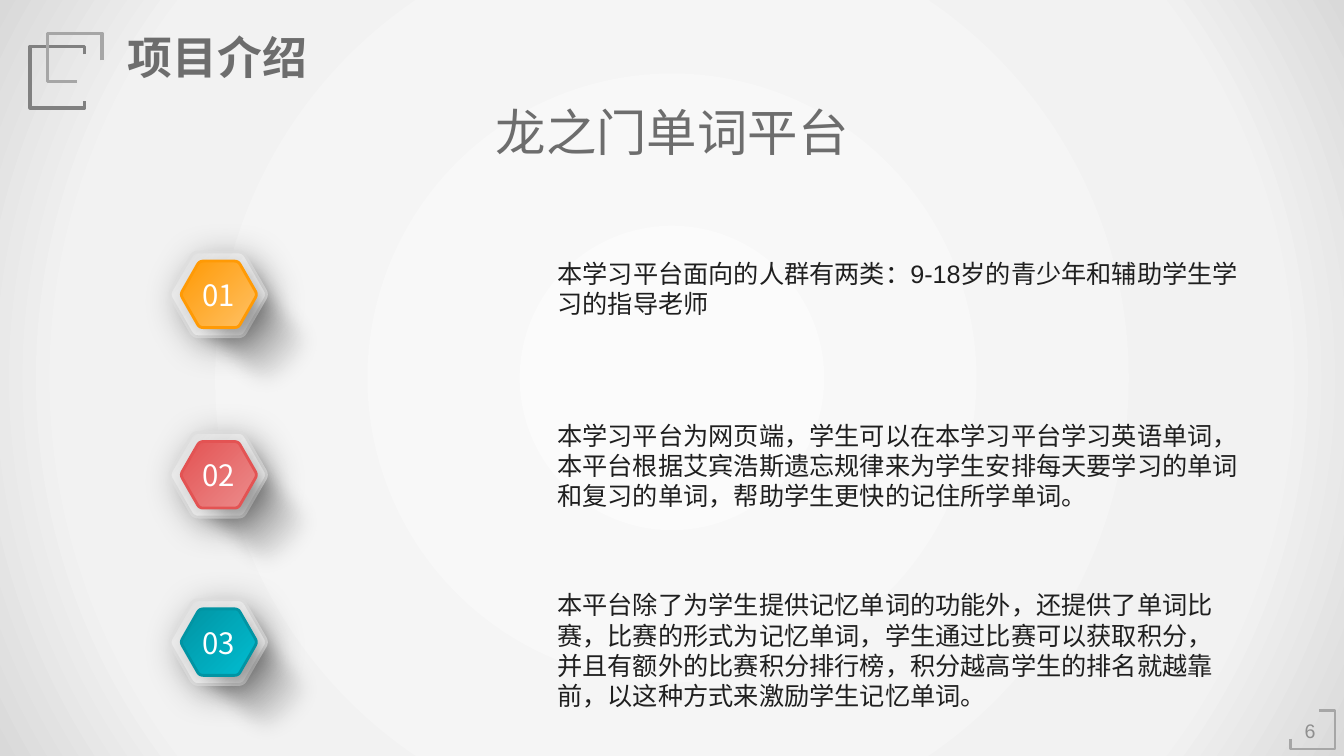
import pptx
import pptx.dml.color
import pptx.enum.shapes
import pptx.enum.text
import pptx.oxml
import pptx.oxml.ns
import pptx.util

Inches, Pt = pptx.util.Inches, pptx.util.Pt
SHAPE = pptx.enum.shapes.MSO_SHAPE
ALIGN = pptx.enum.text.PP_ALIGN
ANCHOR = pptx.enum.text.MSO_ANCHOR
NS = pptx.oxml.ns.nsdecls("a")

CENTER_OUT = ('<a:path path="circle"><a:fillToRect l="50000" t="50000" '
              'r="50000" b="50000"/></a:path>')
BODY_X = 5.43
BADGE_X = 1.69
RIM_SIZE, FACE_SIZE = (0.95, 0.84), (0.74, 0.66)

# number, badge top, light colour, dark colour, body top, body width, body text
POINTS = [
    ("01", 2.5, "FFC165", "FF9A05", 2.51, 6.99,
     "本学习平台面向的人群有两类：9-18岁的青少年和辅助学生学习的指导老师"),
    ("02", 4.29, "EC8C8C", "E35353", 4.12, 7.04,
     "本学习平台为网页端，学生可以在本学习平台学习英语单词，本平台根据艾宾浩斯遗忘规律"
     "来为学生安排每天要学习的单词和复习的单词，帮助学生更快的记住所学单词。"),
    ("03", 5.95, "01BDD1", "0194A3", 5.8, 6.9,
     "本平台除了为学生提供记忆单词的功能外，还提供了单词比赛，比赛的形式为记忆单词，"
     "学生通过比赛可以获取积分，并且有额外的比赛积分排行榜，积分越高学生的排名就越靠前，"
     "以这种方式来激励学生记忆单词。"),
]


def rgb(hex_color):
    return pptx.dml.color.RGBColor.from_string(hex_color)


def set_gradient(shape, stops, direction):
    """Fill with (percent, colour, opacity percent) stops; direction is XML."""
    shape.fill.solid()
    solid = shape._element.spPr.find(pptx.oxml.ns.qn("a:solidFill"))
    marks = "".join(
        f'<a:gs pos="{pos * 1000}"><a:srgbClr val="{color}">'
        f'<a:alpha val="{opacity * 1000}"/></a:srgbClr></a:gs>'
        for pos, color, opacity in stops)
    gradient = pptx.oxml.parse_xml(
        f'<a:gradFill {NS} rotWithShape="1"><a:gsLst>{marks}</a:gsLst>'
        f'{direction}</a:gradFill>')
    solid.getparent().replace(solid, gradient)


def linear(degrees):
    return f'<a:lin ang="{degrees * 60000}" scaled="0"/>'


def set_effect(shape, xml):
    shape.shadow.inherit = False
    effects = shape._element.spPr.find(pptx.oxml.ns.qn("a:effectLst"))
    effects.append(pptx.oxml.parse_xml(xml))


def set_drop_shadow(shape, opacity, blur, distance):
    set_effect(shape, (
        f'<a:outerShdw {NS} blurRad="{Pt(blur)}" dist="{Pt(distance)}" '
        f'dir="2700000" algn="tl" rotWithShape="0"><a:srgbClr val="000000">'
        f'<a:alpha val="{opacity * 1000}"/></a:srgbClr></a:outerShdw>'))


def add_text(shapes, text, x, y, w, h, size, color, font="Arial", bold=False,
             align=ALIGN.LEFT, anchor=ANCHOR.TOP, wrap=True):
    box = shapes.add_textbox(Inches(x), Inches(y), Inches(w), Inches(h))
    frame = box.text_frame
    frame.word_wrap = wrap
    frame.vertical_anchor = anchor
    paragraph = frame.paragraphs[0]
    paragraph.alignment = align
    run = paragraph.add_run()
    run.text = text
    run.font.size, run.font.name, run.font.bold = Pt(size), font, bold
    run.font.color.rgb = rgb(color)
    return box


def add_outline(shapes, points, color, width, closed=False):
    corners = [(Inches(x), Inches(y)) for x, y in points]
    builder = shapes.build_freeform(*corners[0])
    builder.add_line_segments(corners[1:], close=closed)
    outline = builder.convert_to_shape()
    outline.fill.background()
    outline.line.color.rgb = rgb(color)
    outline.line.width = Pt(width)
    outline.shadow.inherit = False
    return outline


def rounded_hexagon(x, y, w, h, rounding=0.1, steps=6):
    """Points of a flat-topped hexagon whose corners are quadratic curves."""
    corners = [(0.24, 0), (0.76, 0), (1.015, 0.5), (0.76, 1), (0.24, 1), (-0.015, 0.5)]
    points = []
    for i, corner in enumerate(corners):
        before, after = corners[i - 1], corners[(i + 1) % 6]
        for step in range(steps + 1):
            t = step / steps
            pull_back, pull_on = rounding * (1 - t) ** 2, rounding * t ** 2
            u, v = (c + pull_back * (b - c) + pull_on * (a - c)
                    for b, c, a in zip(before, corner, after))
            points.append((x + u * w, y + v * h))
    return points


def add_hexagon(shapes, x, y, size, stops, edge, shadow):
    hexagon = add_outline(shapes, rounded_hexagon(x, y, *size), edge, 2, closed=True)
    set_gradient(hexagon, stops, linear(45))
    hexagon.rotation = 180
    set_drop_shadow(hexagon, *shadow)


def add_cast_shadow(shapes, x, y, w, h):
    cast = shapes.add_shape(SHAPE.ROUNDED_RECTANGLE,
                            Inches(x), Inches(y), Inches(w), Inches(h))
    cast.adjustments[0] = 0.5
    cast.rotation = 46
    cast.line.fill.background()
    set_gradient(cast, [(0, "1F1F1F", 61), (37, "6C6C6C", 50), (100, "D8D8D8", 0)],
                 linear(0))
    set_effect(cast, f'<a:softEdge {NS} rad="{Pt(12.5)}"/>')


def add_badge(slide, number, x, y, light, dark):
    shapes = slide.shapes.add_group_shape().shapes
    add_cast_shadow(shapes, x - 0.07, y + 0.13, 1.68, 1.15)
    add_hexagon(shapes, x, y, RIM_SIZE,
                [(0, "FFFFFF", 100), (73, "ECECEC", 100), (100, "D9D9D9", 100)],
                "E0E0E0", (28, 28, 7))
    add_cast_shadow(shapes, x + 0.03, y + 0.22, 1.42, 0.93)
    add_hexagon(shapes, x + 0.11, y + 0.09, FACE_SIZE,
                [(0, light, 100), (100, dark, 100)], dark, (25, 20, 9))
    add_text(shapes, number, x + 0.17, y + 0.2, 0.62, 0.45, 21, "FFFFFF",
             font="Noto Sans CJK TC", align=ALIGN.CENTER)


def add_backdrop(slide, w, h):
    backdrop = slide.shapes.add_shape(SHAPE.RECTANGLE, 0, 0, w, h)
    backdrop.line.fill.background()
    backdrop.shadow.inherit = False
    set_gradient(backdrop, [(0, "FBFBFB", 100), (79, "F2F2F2", 100),
                            (100, "D9D9D9", 100)], CENTER_OUT)


def add_header(slide, x, y):
    dark_frame = [(0.54, 0.21), (0.54, 0.13), (0, 0.13), (0, 0.74), (0.54, 0.74), (0.54, 0.67)]
    light_frame = [(0.71, 0.27), (0.71, 0), (0.17, 0), (0.17, 0.48), (0.46, 0.48)]
    for frame, color in ((dark_frame, "808080"), (light_frame, "A6A6A6")):
        add_outline(slide.shapes, [(x + dx, y + dy) for dx, dy in frame], color, 2.5)
    add_text(slide.shapes, "项目介绍", x + 0.87, y - 0.08, 2, 0.64, 32, "6D6D6D",
             bold=True, wrap=False)
    add_text(slide.shapes, "龙之门单词平台", x + 4.19, y + 0.62, 4.35, 0.71, 36,
             "6D6D6D", align=ALIGN.CENTER)


def add_page_number(slide, number, x, y):
    bracket = [(0, 0.28), (0, 0.38), (0.44, 0.38), (0.44, 0), (0.28, 0)]
    add_outline(slide.shapes, [(x + dx, y + dy) for dx, dy in bracket], "A6A6A6", 2)
    add_text(slide.shapes, number, x - 0.02, y + 0.04, 0.43, 0.31, 14, "8F8F8F",
             align=ALIGN.CENTER, anchor=ANCHOR.MIDDLE)


def main():
    deck = pptx.Presentation()
    deck.slide_width, deck.slide_height = Inches(13.33), Inches(7.5)
    slide = deck.slides.add_slide(deck.slide_layouts[6])
    add_backdrop(slide, deck.slide_width, deck.slide_height)
    add_page_number(slide, "6", 12.8, 7.05)
    add_header(slide, 0.3, 0.33)
    for number, badge_y, light, dark, body_y, body_w, body in POINTS:
        add_text(slide.shapes, body, BODY_X, body_y, body_w, 0.71, 18, "1F1F1F")
        add_badge(slide, number, BADGE_X, badge_y, light, dark)
    deck.save("out.pptx")


if __name__ == "__main__":
    main()
